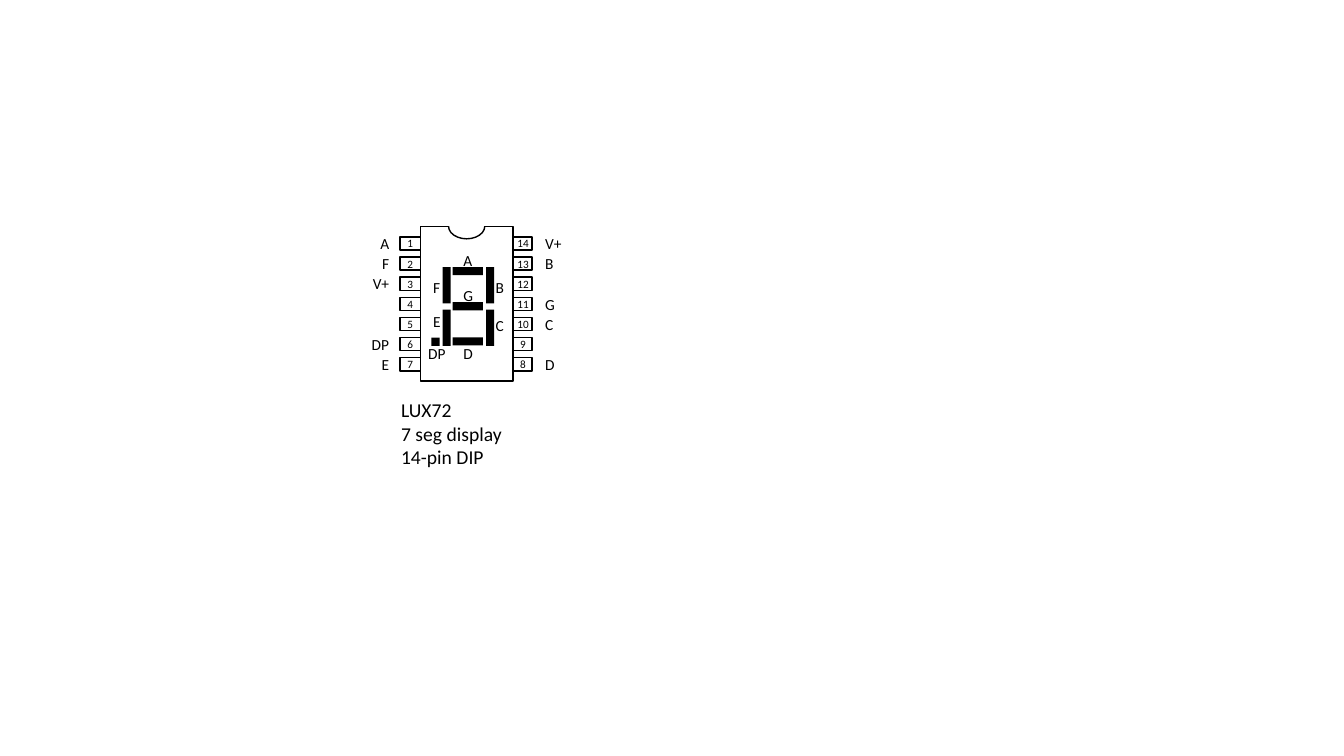
from pptx import Presentation
from pptx.dml.color import RGBColor
from pptx.enum.shapes import MSO_SHAPE
from pptx.enum.text import MSO_AUTO_SIZE, PP_ALIGN
from pptx.util import Pt

RECT, ARC = MSO_SHAPE.RECTANGLE, MSO_SHAPE.ARC
LEFT, CENTER, RIGHT = PP_ALIGN.LEFT, PP_ALIGN.CENTER, PP_ALIGN.RIGHT
FIT_SHAPE = MSO_AUTO_SIZE.SHAPE_TO_FIT_TEXT
COLORS = {"ink": "000000", "paper": "FFFFFF"}
FONT = "Calibri"
PIN_PITCH = 14.4
LABEL_PITCH = 14.5
LEFT_PINS = ["A", "F", "V+", "", "", "DP", "E"]
RIGHT_PINS = ["V+", "B", "", "G", "C", "", "D"]
SEGMENT_LABELS = [
    ("DP", 298.8, 242), ("A", 324, 175.7), ("D", 324, 242), ("B", 347, 195.1),
    ("E", 302.4, 219.6), ("C", 347, 222.5), ("F", 302.4, 195.1), ("G", 324, 200.9),
]


def color(name):
    """Return a palette colour."""
    return RGBColor.from_string(COLORS[name])


def add_text(shapes, text, x, y, w, h, size=11, align=LEFT):
    """Add a text box with one paragraph per line of text."""
    sp = shapes.add_textbox(Pt(x), Pt(y), Pt(w), Pt(h))
    tf = sp.text_frame
    tf.word_wrap = True
    tf.auto_size = FIT_SHAPE
    for i, line in enumerate(text.split("\n")):
        p = tf.add_paragraph() if i else tf.paragraphs[0]
        p.alignment = align
        r = p.add_run()
        r.text = line
        r.font.name = FONT
        r.font.size = Pt(size)
        r.font.color.rgb = color("ink")


def add_box(shapes, x, y, w, h, fill=None, line=None, kind=RECT):
    """Add a preset shape with an optional fill and outline."""
    sp = shapes.add_shape(kind, Pt(x), Pt(y), Pt(w), Pt(h))
    sp.shadow.inherit = False
    if fill:
        sp.fill.solid()
        sp.fill.fore_color.rgb = color(fill)
    else:
        sp.fill.background()
    if line:
        sp.line.color.rgb = color(line)
        sp.line.width = Pt(1)
    else:
        sp.line.fill.background()
    return sp


def add_package(shapes):
    """Draw the chip body with its notch and numbered pins."""
    count = len(LEFT_PINS)
    for i in range(count):
        add_box(shapes, 285.8, 169.2 + i * PIN_PITCH, 94.3, 9.4, line="ink")
    add_box(shapes, 300.2, 162, 66.3, 110.2, fill="paper", line="ink")
    add_box(shapes, 320.4, 157.7, 25.9, 7.9, fill="paper")
    notch = add_box(shapes, 320.4, 152.6, 25.9, 18, line="ink", kind=ARC)
    notch.adjustments[0] = 0
    notch.adjustments[1] = 108
    for i in range(count):
        y = 165.6 + i * PIN_PITCH
        add_text(shapes, str(2 * count - i), 353.5, y, 40.3, 17, size=8, align=CENTER)
        add_text(shapes, str(i + 1), 274.3, y, 37.4, 17, size=8, align=CENTER)


def add_pin_labels(shapes, labels, x, w, align):
    """Write the signal names beside one row of pins."""
    for i, label in enumerate(labels):
        if label:
            add_text(shapes, label, x, 163.4 + i * LABEL_PITCH, w, 20.9, align=align)


def add_display(shapes):
    """Draw the seven segments, the decimal point and their letters."""
    for x in (316.1, 347.2):
        for y in (190.8, 221.2):
            add_box(shapes, x, y, 5.8, 25.9, fill="ink")
    for i in range(3):
        add_box(shapes, 323.4, 190.8 + i * 25.1, 21.6, 5.8, fill="ink")
    add_box(shapes, 308.2, 241.2, 5.8, 5.8, fill="ink")
    for label, x, y in SEGMENT_LABELS:
        add_text(shapes, label, x, y, 28.8, 20.9)


def main():
    """Build the slide and save it."""
    prs = Presentation()
    prs.slide_width, prs.slide_height = Pt(960), Pt(540)
    s = prs.slides.add_slide(prs.slide_layouts[6])
    add_package(s.shapes.add_group_shape().shapes)
    add_text(s.shapes, "LUX72\n7 seg display\n14-pin DIP", 279.4, 280.8, 100.8, 58.3, size=14)
    add_pin_labels(s.shapes.add_group_shape().shapes, LEFT_PINS, 242.6, 42.5, RIGHT)
    add_pin_labels(s.shapes.add_group_shape().shapes, RIGHT_PINS, 382.3, 38.9, LEFT)
    add_display(s.shapes.add_group_shape().shapes)
    prs.save("out.pptx")


main()
